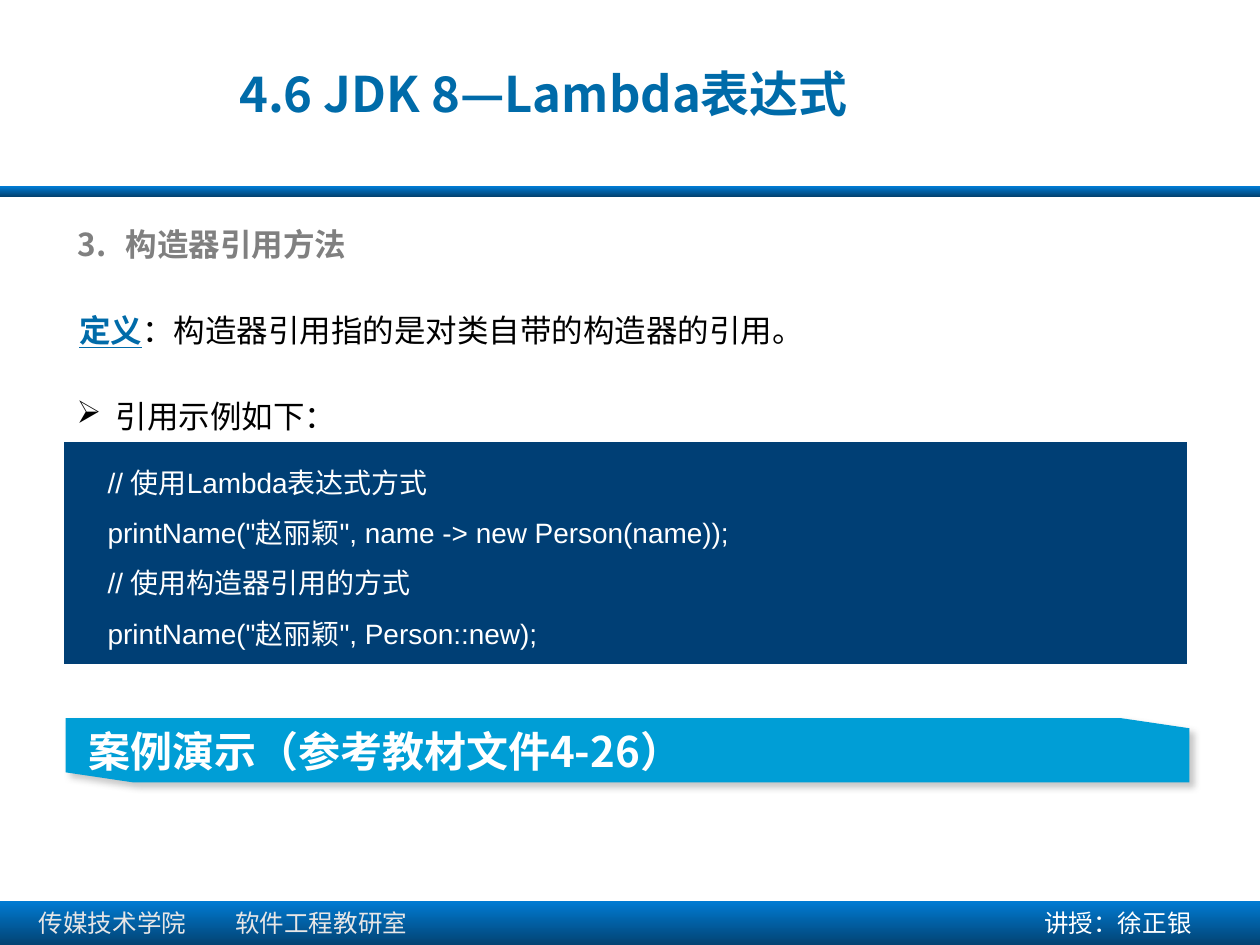
import pptx
import pptx.util
import pptx.dml.color
import pptx.enum.shapes
import pptx.enum.text
import pptx.oxml.ns
from lxml import etree

Inches = pptx.util.Inches
Pt = pptx.util.Pt
ANCHOR = pptx.enum.text.MSO_ANCHOR
CJK = "Noto Sans CJK SC"
COLORS = {
    "bar_top": "007BD3", "bar_bottom": "034373", "title": "006BA9",
    "heading": "808080", "text": "000000", "white": "FFFFFF",
    "department": "E7E6E6", "code": "003F75", "banner": "009ED6",
    "shadow": "808080",
}


def rgb(name):
    """Return the named colour."""
    return pptx.dml.color.RGBColor.from_string(COLORS[name])


def add_xml(parent, tag, **attrs):
    """Append a DrawingML element and return it."""
    return etree.SubElement(parent, pptx.oxml.ns.qn(tag), attrs)


def style(font, size, color, name="Arial", bold=False):
    """Set the look of a font."""
    font.size, font.name, font.bold = Pt(size), name, bold
    font.color.rgb = rgb(color)


def add_text(s, box, text, size, color, name="Arial", bold=False, spacing=None,
             hanging=0, bullet=None, tab=None, anchor=ANCHOR.TOP):
    """Place a one-paragraph text box and return its paragraph."""
    tf = s.shapes.add_textbox(*map(Inches, box)).text_frame
    tf.word_wrap, tf.vertical_anchor = True, anchor
    p = tf.paragraphs[0]
    p.text = text
    if spacing:
        p.line_spacing = spacing
    pPr = p._p.get_or_add_pPr()
    if hanging:
        pPr.set("marL", str(Inches(hanging)))
        pPr.set("indent", str(-Inches(hanging)))
    if bullet:
        tag, attrs = bullet
        add_xml(pPr, tag, **attrs)
    if tab:
        tabs = add_xml(pPr, "a:tabLst")
        add_xml(tabs, "a:tab", pos=str(Inches(tab)), algn="l")
    style(p.font, size, color, name, bold)
    return p


def add_bar(s, left, top, width, height):
    """Draw a horizontal bar with a vertical gradient."""
    sp = s.shapes.add_shape(pptx.enum.shapes.MSO_SHAPE.RECTANGLE,
                            *map(Inches, (left, top, width, height)))
    sp.shadow.inherit = False
    sp.line.fill.background()
    sp.fill.gradient()
    sp.fill.gradient_angle = 270
    for stop, name in zip(sp.fill.gradient_stops, ("bar_top", "bar_bottom")):
        stop.color.rgb = rgb(name)


def add_header(s, left, top, width, height):
    """Place the title above its dividing bar."""
    add_text(s, (left + 1.8, top + 0.43, 5.41, 0.61), "4.6 JDK 8—Lambda表达式",
             28, "title", CJK, True, hanging=0.62, anchor=ANCHOR.MIDDLE)
    add_bar(s, left, top + height - 0.08, width, 0.08)


def add_footer(s, left, top, width, height):
    """Place the footer bar with department and lecturer."""
    add_bar(s, left, top, width, height)
    add_text(s, (left + 0.21, top + 0.01, 3.78, 0.34),
             "传媒技术学院\t软件工程教研室", 14, "department", tab=1.56)
    add_text(s, (left + 8.19, top + 0.01, 1.78, 0.34), "讲授：徐正银", 14, "white")


def add_body(s, left, top, width):
    """Place the heading, the definition and the lead-in to the code."""
    add_text(s, (left, top, width, 0.4), "构造器引用方法", 18, "heading", CJK, True,
             hanging=0.38,
             bullet=("a:buAutoNum", {"type": "arabicPeriod", "startAt": "3"}))
    p = add_text(s, (left + 0.01, top + 0.38, width, 0.71), "", 18, "text", spacing=2)
    term = p.add_run()
    term.text = "定义"
    style(term.font, 18, "title", "Calibri", True)
    term.font.underline = True
    p.add_run().text = "：构造器引用指的是对类自带的构造器的引用。"
    add_text(s, (left - 0.01, top + 1.06, width, 0.61), "引用示例如下：", 18, "text",
             spacing=2, hanging=0.31, bullet=("a:buChar", {"char": "➢"}))


def add_code(s, left, top, width, height, lines):
    """Place a panel of code lines."""
    sp = s.shapes.add_shape(pptx.enum.shapes.MSO_SHAPE.RECTANGLE,
                            *map(Inches, (left, top, width, height)))
    sp.shadow.inherit = False
    sp.fill.solid()
    sp.fill.fore_color.rgb = rgb("code")
    sp.line.fill.background()
    tf = sp.text_frame
    tf.word_wrap, tf.vertical_anchor = True, ANCHOR.TOP
    tf.text = "\n".join(lines)
    for p in tf.paragraphs:
        p.alignment = pptx.enum.text.PP_ALIGN.LEFT
        p.line_spacing = 1.5
        style(p.font, 16, "white")


def add_banner(s, left, top, width, height, text):
    """Draw a shadowed banner with two cut corners."""
    right, bottom, cut_x, cut_y = left + width, top + height, 0.54, 0.08
    points = [(left, top), (right - cut_x, top), (right, top + cut_y),
              (right, bottom), (left + cut_x, bottom), (left, bottom - cut_y)]
    points = [(Inches(x), Inches(y)) for x, y in points]
    builder = s.shapes.build_freeform(*points[0])
    builder.add_line_segments(points[1:], close=True)
    sp = builder.convert_to_shape()
    sp.fill.solid()
    sp.fill.fore_color.rgb = rgb("banner")
    sp.line.fill.background()
    sp.shadow.inherit = False
    effects = sp._element.spPr.find(pptx.oxml.ns.qn("a:effectLst"))
    shadow = add_xml(effects, "a:outerShdw", blurRad=str(Pt(4)), dist=str(Pt(3)),
                     dir="2700000", algn="tl", rotWithShape="0")
    color = add_xml(shadow, "a:srgbClr", val=COLORS["shadow"])
    add_xml(color, "a:alpha", val="43000")
    tf = sp.text_frame
    tf.word_wrap, tf.vertical_anchor = True, ANCHOR.MIDDLE
    tf.margin_left = Inches(0.18)
    p = tf.paragraphs[0]
    p.text = text
    p.alignment = pptx.enum.text.PP_ALIGN.LEFT
    style(p.font, 24, "white", CJK, True)


def main():
    """Build and save the slide."""
    prs = pptx.Presentation()
    prs.slide_width, prs.slide_height = Inches(10), Inches(7.5)
    s = prs.slides.add_slide(prs.slide_layouts[6])
    add_header(s, 0, 0, 10, 1.56)
    add_footer(s, 0, 7.15, 10, 0.35)
    add_body(s, 0.52, 1.74, 8.92)
    add_code(s, 0.51, 3.51, 8.91, 1.76, [
        "    // 使用Lambda表达式方式",
        "    printName(\"赵丽颖\", name -> new Person(name));",
        "    // 使用构造器引用的方式",
        "    printName(\"赵丽颖\", Person::new);",
    ])
    add_banner(s, 0.52, 5.7, 8.92, 0.51, "案例演示（参考教材文件4-26）")
    prs.save("out.pptx")


if __name__ == "__main__":
    main()
